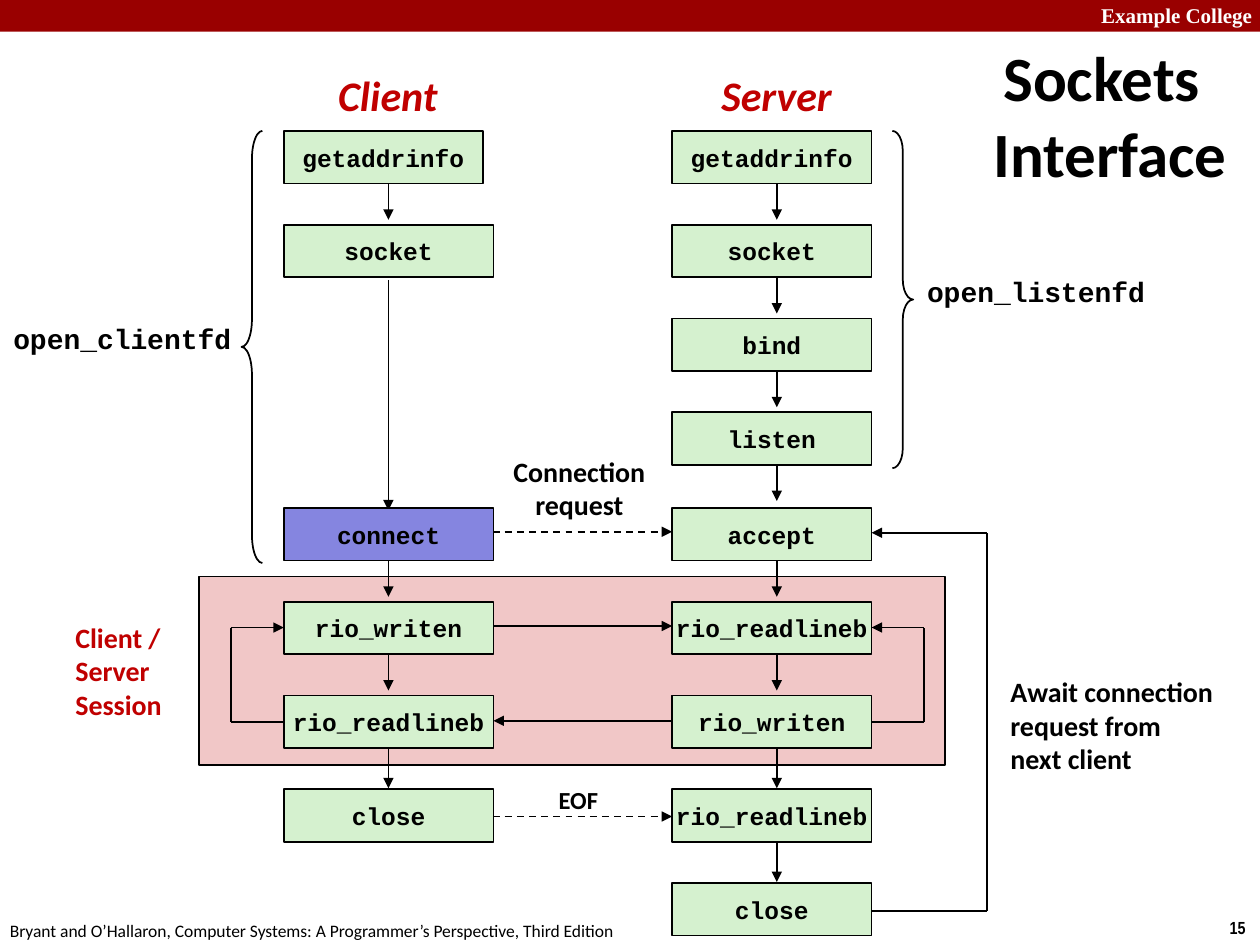
from lxml import etree
from pptx import Presentation
from pptx.dml.color import RGBColor
from pptx.enum.dml import MSO_LINE
from pptx.enum.shapes import MSO_CONNECTOR, MSO_SHAPE
from pptx.enum.text import MSO_ANCHOR, MSO_AUTO_SIZE, PP_ALIGN
from pptx.oxml.ns import qn
from pptx.util import Cm, Pt

STRAIGHT = MSO_CONNECTOR.STRAIGHT
DASH = MSO_LINE.DASH
RECTANGLE = MSO_SHAPE.RECTANGLE
LEFT_BRACE, RIGHT_BRACE = MSO_SHAPE.LEFT_BRACE, MSO_SHAPE.RIGHT_BRACE
MIDDLE, TOP = MSO_ANCHOR.MIDDLE, MSO_ANCHOR.TOP
FIT, FIXED = MSO_AUTO_SIZE.SHAPE_TO_FIT_TEXT, MSO_AUTO_SIZE.NONE
LEFT, CENTER = PP_ALIGN.LEFT, PP_ALIGN.CENTER

COLORS = {
    "bar": "990000", "band": "F1C7C7", "call": "D5F1CF", "connect": "8585E0",
    "red": "C00000", "black": "000000", "white": "FFFFFF",
}
BODY, CODE = "Calibri", "Courier New"

presentation = Presentation()
presentation.slide_width = Cm(25.4)
presentation.slide_height = Cm(19.05)
slide = presentation.slides.add_slide(presentation.slide_layouts[6])


def write_text(shape, lines, wrap=False, fit=FIT, anchor=MIDDLE, align=LEFT, color="black", **font_format):
    frame = shape.text_frame
    for name, value in {"word_wrap": wrap, "auto_size": fit, "vertical_anchor": anchor}.items():
        setattr(frame, name, value)
    for index, line in enumerate(lines):
        paragraph = frame.paragraphs[0] if index == 0 else frame.add_paragraph()
        paragraph.alignment = align
        run = paragraph.add_run()
        run.text = line
        for name, value in font_format.items():
            setattr(run.font, name, value)
        run.font.color.rgb = RGBColor.from_string(COLORS[color])


def add_preset(preset, left, top, width, height, fill=None, outline=True):
    shape = slide.shapes.add_shape(preset, Cm(left), Cm(top), Cm(width), Cm(height))
    shape.shadow.inherit = False
    if fill:
        shape.fill.solid()
        shape.fill.fore_color.rgb = RGBColor.from_string(COLORS[fill])
    else:
        shape.fill.background()
    if outline:
        shape.line.color.rgb = RGBColor.from_string(COLORS["black"])
        shape.line.width = Pt(1)
    else:
        shape.line.fill.background()
    return shape


add_preset(RECTANGLE, 0, 0, 25.4, 0.64, "bar", outline=False)
add_preset(RECTANGLE, 4.02, 11.62, 15.03, 3.81, "band")

pitch = 1.89
setup_tops = [2.64 + pitch * row for row in range(4)]
session_tops = [10.24 + pitch * row for row in range(5)]
row_tops = setup_tops + session_tops
client_left, client_width = 5.72, 4.23
server_left, server_width = 13.55, 4.02
client_right, server_right = client_left + client_width, server_left + server_width
client_axis, server_axis = 7.83, 15.66

routes = [
    ([(server_right, 14.55), (18.62, 14.55), (18.62, 12.65), (server_right, 12.65)], False),
    ([(client_left, 14.55), (4.65, 14.55), (4.65, 12.65), (client_left, 12.65)], False),
    ([(server_right, 18.36), (19.89, 18.36), (19.89, 10.74), (server_right, 10.74)], False),
    ([(client_axis, 5.64), (client_axis, 10.29)], False),
    ([(8.46, 10.72), (server_left, 10.72)], True),
    ([(client_right, 12.62), (server_left, 12.62)], False),
    ([(server_left, 14.53), (client_right, 14.53)], False),
    ([(8.46, 16.46), (server_left, 16.46)], True),
]
for axis, rows in ((client_axis, (0, 4, 5, 6)), (server_axis, range(8))):
    for row in rows:
        start = row_tops[row] + (1.02 if row >= 6 else 0.94)
        routes.append(([(axis, start), (axis, start + 0.85)], False))

for points, dashed in routes:
    for start, end in zip(points, points[1:]):
        connector = slide.shapes.add_connector(STRAIGHT, *(Cm(value) for value in start + end))
        connector.line.color.rgb = RGBColor.from_string(COLORS["black"])
        connector.line.width = Pt(1)
        if dashed:
            connector.line.dash_style = DASH
        if end == points[-1]:
            etree.SubElement(connector.line._get_or_add_ln(), qn("a:tailEnd"), type="triangle")
        etree.SubElement(connector._element.spPr, qn("a:effectLst"))

client_calls = {0: "getaddrinfo", 1: "socket", 4: "connect", 5: "rio_writen", 6: "rio_readlineb", 7: "close"}
server_calls = dict(enumerate([
    "getaddrinfo", "socket", "bind", "listen", "accept",
    "rio_readlineb", "rio_writen", "rio_readlineb", "close",
]))
for left, full_width, calls in (
    (client_left, client_width, client_calls),
    (server_left, server_width, server_calls),
):
    for row, call in calls.items():
        width = server_width if row == 0 else full_width
        fill = "connect" if call == "connect" else "call"
        box = add_preset(RECTANGLE, left, row_tops[row], width, 1.06, fill)
        write_text(box, [call], fit=FIXED, align=CENTER, name=CODE, size=Pt(14), bold=True)

for preset, left, height, curve in ((RIGHT_BRACE, 17.99, 6.8, 0.96), (LEFT_BRACE, 4.87, 8.71, 1.33)):
    brace = add_preset(preset, left, 2.64, 0.42, height)
    brace.adjustments[0] = curve
    brace.adjustments[1] = 0.5

heading = {"align": CENTER, "color": "red", "name": BODY, "size": Pt(24), "bold": True, "italic": True}
note = {"name": BODY, "size": Pt(16), "bold": True}
helper_name = {"align": CENTER, "name": CODE, "size": Pt(16), "bold": True}
labels = [
    (21.95, -0.08, 3.63, 0.76, ["Example College"],
     {"wrap": True, "anchor": TOP, "color": "white", "name": "Times New Roman", "size": Pt(12), "bold": True}),
    (24.54, 18.36, 0.86, 0.69, ["15"], {"anchor": TOP, "name": "Arial Narrow", "size": Pt(10), "bold": True}),
    (-0.05, 18.42, 12.9, 0.69,
     ["Bryant and O’Hallaron, Computer Systems: A Programmer’s Perspective, Third Edition"],
     {"anchor": TOP, "name": BODY, "size": Pt(10)}),
    (6.55, 1.27, 2.54, 1.27, ["Client"], heading),
    (14.27, 1.27, 2.77, 1.27, ["Server"], heading),
    (1.27, 12.37, 2.34, 2.29, ["Client / Server", "Session"], {**note, "wrap": True, "color": "red"}),
    (10.08, 9.02, 3.2, 1.63, ["Connection", "request"], {**note, "align": CENTER}),
    (11, 15.7, 1.32, 0.86, ["EOF"], {**note, "align": CENTER, "size": Pt(14)}),
    (20.12, 13.46, 4.65, 2.31, ["Await connection", "request from", "next client"], note),
    (18.42, 5.41, 4.93, 0.94, ["open_listenfd"], helper_name),
    (0, 6.35, 4.93, 0.94, ["open_clientfd"], helper_name),
    (19.25, 0.64, 5.92, 3.33, ["Sockets Interface"],
     {**note, "wrap": True, "fit": FIXED, "align": CENTER, "size": Pt(36)}),
]
for left, top, width, height, lines, text_format in labels:
    label = slide.shapes.add_textbox(Cm(left), Cm(top), Cm(width), Cm(height))
    write_text(label, lines, **text_format)

title_properties = label.text_frame.paragraphs[0]._p.get_or_add_pPr()
title_properties.set("marL", str(Cm(0.33)))
title_properties.set("indent", str(Cm(-0.33)))

presentation.save("out.pptx")
